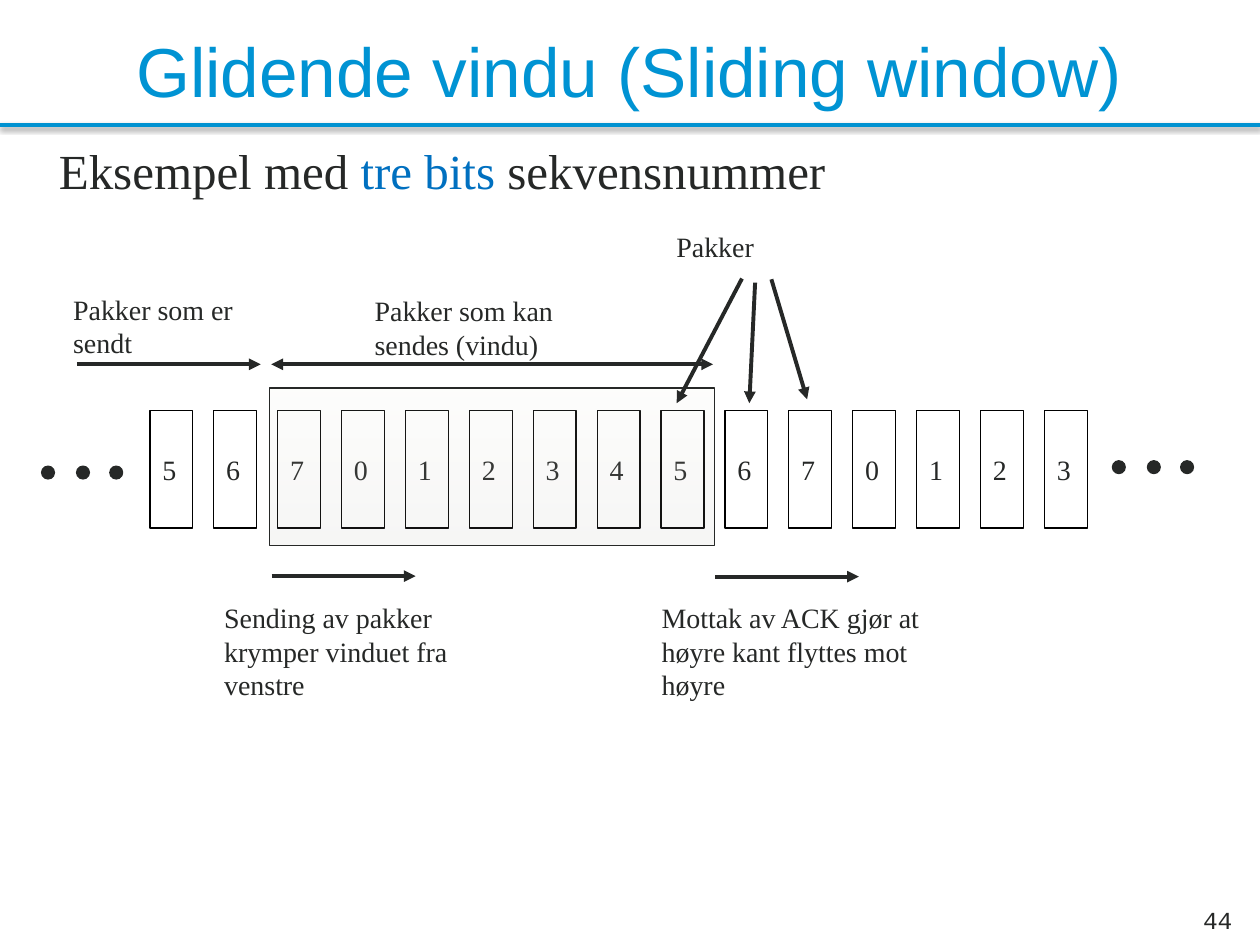
from dataclasses import dataclass

from lxml.etree import SubElement
from pptx import Presentation
from pptx.dml.color import RGBColor
from pptx.enum.shapes import MSO_CONNECTOR, MSO_SHAPE
from pptx.enum.text import MSO_ANCHOR as Anchor, MSO_AUTO_SIZE as AutoSize, PP_ALIGN as Align
from pptx.oxml.ns import qn
from pptx.util import Pt

INK = RGBColor(0x26, 0x28, 0x27)
BLACK = RGBColor(0x00, 0x00, 0x00)
WHITE = RGBColor(0xFF, 0xFF, 0xFF)
TITLE_BLUE = RGBColor(0x00, 0x93, 0xD3)
RULE_BLUE = RGBColor(0x00, 0x92, 0xD1)
ACCENT_BLUE = RGBColor(0x00, 0x70, 0xC0)
WINDOW_TOP = RGBColor(0xEE, 0xEC, 0xE1)
WINDOW_BOTTOM = RGBColor(0xAA, 0xA9, 0xA1)

SERIF = "Times New Roman"
SEQUENCE = "567012345670123"
CELL_LEFT, CELL_TOP, CELL_WIDTH, CELL_HEIGHT = 85.7, 234.7, 24.5, 67
CELL_PITCH = 36.51
DOT_SIZE = 7.3
DOT_OFFSETS = (0, 20, 39)


@dataclass(frozen=True)
class Arrow:
    x1: float
    y1: float
    x2: float
    y2: float
    both_ends: bool = False


@dataclass(frozen=True)
class Label:
    text: str
    left: float
    top: float
    width: float
    height: float


ARROWS = (
    Arrow(44, 208.2, 149, 208.2),
    Arrow(155, 208.2, 407.5, 208.2, both_ends=True),
    Arrow(155.3, 329.2, 237.5, 329.2),
    Arrow(408.7, 329.5, 490.8, 329.5),
    Arrow(424, 159.2, 386.7, 230.4),
    Arrow(431.5, 161.5, 428.2, 230.4),
    Arrow(440.8, 159.6, 461.2, 228.2),
)
LABELS = (
    Label("Pakker som er sendt", 34.7, 163.4, 111.6, 46),
    Label("Pakker som kan sendes (vindu)", 207, 164.2, 152, 46),
    Label("Sending av pakker krymper vinduet fra venstre", 121, 339.8, 170.6, 65),
    Label("Mottak av ACK gjør at høyre kant flyttes mot høyre", 371, 339.8, 170.6, 65),
    Label("Pakker", 379.4, 127.4, 98, 26.6),
)


def write(frame, *parts: tuple[str, RGBColor], size: float = 16, font: str = SERIF,
          align=Align.LEFT, anchor=Anchor.TOP, wrap: bool = True,
          fit=AutoSize.NONE) -> None:
    frame.word_wrap = wrap
    frame.auto_size = fit
    frame.vertical_anchor = anchor
    paragraph = frame.paragraphs[0]
    paragraph.alignment = align
    for text, color in parts:
        run = paragraph.add_run()
        run.text = text
        run.font.size, run.font.name = Pt(size), font
        run.font.color.rgb = color


def add_text(slide, left: float, top: float, width: float, height: float, *parts, **style) -> None:
    box = slide.shapes.add_textbox(Pt(left), Pt(top), Pt(width), Pt(height))
    write(box.text_frame, *parts, **style)


def add_figure(slide, kind, left: float, top: float, width: float, height: float,
               fill: RGBColor | None, line: RGBColor):
    figure = slide.shapes.add_shape(kind, Pt(left), Pt(top), Pt(width), Pt(height))
    figure.shadow.inherit = False
    if fill is not None:
        figure.fill.solid()
        figure.fill.fore_color.rgb = fill
    figure.line.color.rgb = line
    figure.line.width = Pt(0.75)
    return figure


def add_line(slide, x1: float, y1: float, x2: float, y2: float, color: RGBColor, weight: float):
    """Return the line and its empty effect list."""
    line = slide.shapes.add_connector(MSO_CONNECTOR.STRAIGHT, Pt(x1), Pt(y1), Pt(x2), Pt(y2))
    line.line.color.rgb = color
    line.line.width = Pt(weight)
    effects = SubElement(line._element.spPr, qn("a:effectLst"))
    return line, effects


def add_arrow(slide, arrow: Arrow) -> None:
    line, _ = add_line(slide, arrow.x1, arrow.y1, arrow.x2, arrow.y2, INK, 2.25)
    outline = line.line._get_or_add_ln()
    if arrow.both_ends:
        SubElement(outline, qn("a:headEnd"), type="triangle")
    SubElement(outline, qn("a:tailEnd"), type="triangle")


def add_title_rule(slide) -> None:
    _, effects = add_line(slide, 0, 71.3, 720, 71.3, RULE_BLUE, 2)
    shadow = SubElement(effects, qn("a:outerShdw"), blurRad=str(Pt(3.1)), dist=str(Pt(1.6)),
                        dir="5400000", rotWithShape="0")
    tint = SubElement(shadow, qn("a:srgbClr"), val=str(BLACK))
    SubElement(tint, qn("a:alpha"), val="38000")


def add_window(slide) -> None:
    window = add_figure(slide, MSO_SHAPE.RECTANGLE, 154.2, 221.8, 254.2, 89.8, None, INK)
    window.fill.gradient()
    window.fill.gradient_angle = 270
    for stop, color in zip(window.fill.gradient_stops, (WINDOW_TOP, WINDOW_BOTTOM)):
        stop.color.rgb = color
    for tint in window._element.spPr.find(qn("a:gradFill")).iter(qn("a:srgbClr")):
        SubElement(tint, qn("a:alpha"), val="10000")


def add_dots(slide, left: float, top: float) -> None:
    for offset in DOT_OFFSETS:
        add_figure(slide, MSO_SHAPE.OVAL, left + offset, top, DOT_SIZE, DOT_SIZE, INK, INK)


def main() -> None:
    deck = Presentation()
    deck.slide_width, deck.slide_height = Pt(720), Pt(540)
    slide = deck.slides.add_slide(deck.slide_layouts[5])

    # Title and rule
    add_title_rule(slide)
    title = slide.shapes.title
    title.left, title.top, title.width, title.height = Pt(70.6), Pt(15.1), Pt(635), Pt(49.7)
    write(title.text_frame, ("Glidende vindu (Sliding window)", TITLE_BLUE),
          size=39.6, font="Arial", anchor=Anchor.MIDDLE)

    # Packet sequence
    for index, number in enumerate(SEQUENCE):
        cell = add_figure(slide, MSO_SHAPE.RECTANGLE, CELL_LEFT + index * CELL_PITCH, CELL_TOP,
                          CELL_WIDTH, CELL_HEIGHT, WHITE, BLACK)
        write(cell.text_frame, (number, INK), anchor=Anchor.MIDDLE, wrap=False)
    add_window(slide)
    add_dots(slide, 23.8, 266.4)
    add_dots(slide, 635.7, 263.3)

    # Arrows and labels
    for arrow in ARROWS:
        add_arrow(slide, arrow)
    for label in LABELS:
        add_text(slide, label.left, label.top, label.width, label.height,
                 (label.text, INK), fit=AutoSize.SHAPE_TO_FIT_TEXT)

    # Heading and slide number
    add_text(slide, 26.6, 77, 612.7, 41, ("Eksempel med ", INK), ("tre bits ", ACCENT_BLUE),
             ("sekvensnummer", INK), size=28, fit=AutoSize.SHAPE_TO_FIT_TEXT)
    add_text(slide, 643.7, 511.2, 67.7, 28.8, ("44", INK), size=14, font="Courier New",
             align=Align.RIGHT, anchor=Anchor.MIDDLE)

    deck.save("out.pptx")


if __name__ == "__main__":
    main()
